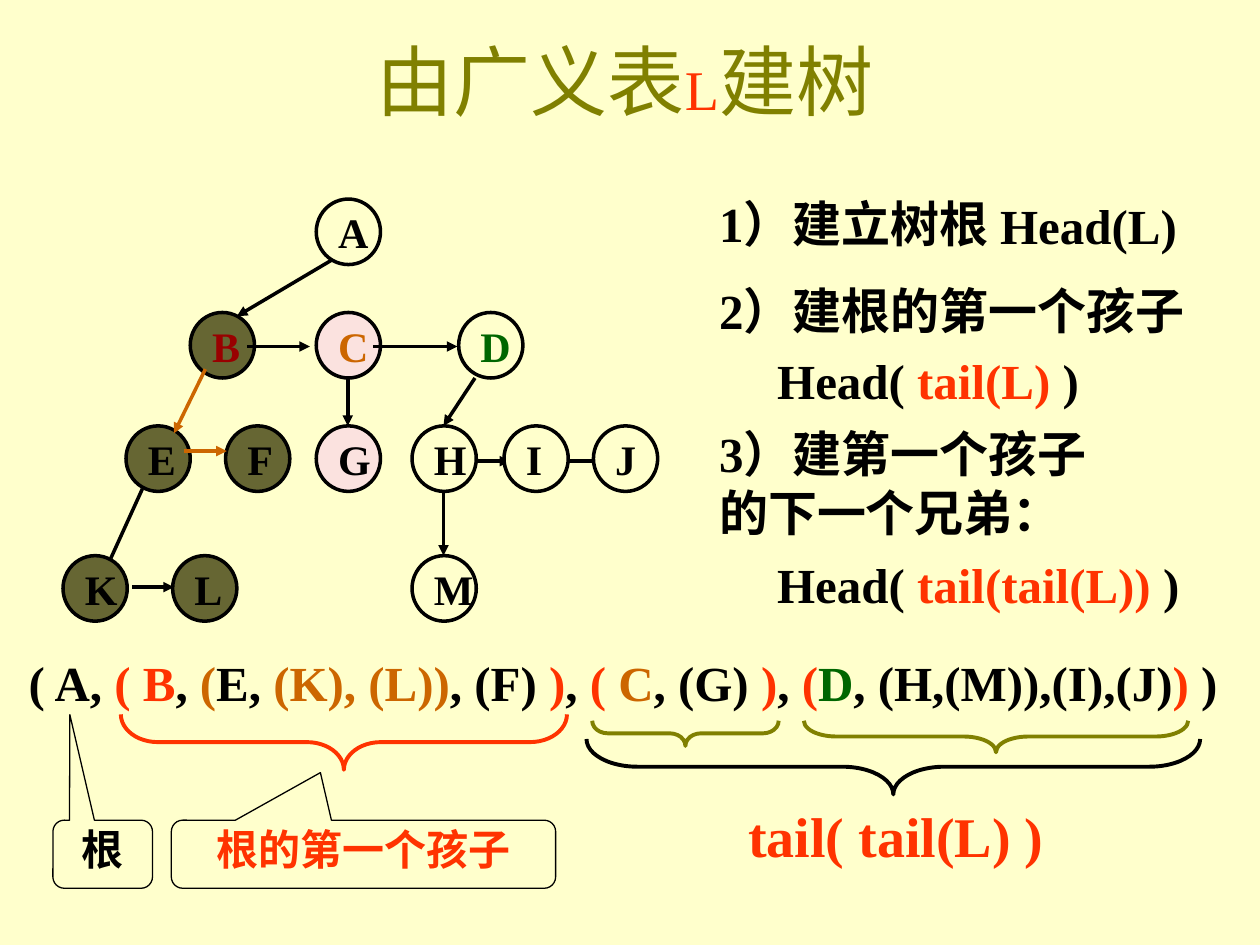
import pptx
import pptx.util
import pptx.dml.color
import pptx.enum.shapes
import pptx.enum.text
import lxml.etree
from pptx.util import Inches

COLORS = {
    "cream": "FFFFCC", "olive": "808000", "red": "FF3300", "black": "000000",
    "orange": "CC6600", "green": "006600", "maroon": "990000",
    "moss": "666633", "pink": "FBE2DF",
}
SHAPES = pptx.enum.shapes.MSO_SHAPE
ALIGN = pptx.enum.text.PP_ALIGN
ANCHOR = pptx.enum.text.MSO_ANCHOR
DRAWING = "{http://schemas.openxmlformats.org/drawingml/2006/main}"


def write(shape, text, size=28, color="black", bold=True, align=ALIGN.LEFT,
          anchor=ANCHOR.TOP, wrap=True, insets=(0.1, 0.05, 0.1, 0.05)):
    """Fill a shape with text: a string, or a list of (string, color[, size])."""
    frame = shape.text_frame
    frame.word_wrap = wrap
    frame.vertical_anchor = anchor
    (frame.margin_left, frame.margin_top,
     frame.margin_right, frame.margin_bottom) = map(Inches, insets)
    line = frame.paragraphs[0]
    line.alignment = align
    pieces = [(text, color)] if isinstance(text, str) else text
    for words, ink, *own_size in pieces:
        run = line.add_run()
        run.text = words
        run.font.name = "Times New Roman"
        run.font.size = pptx.util.Pt(own_size[0] if own_size else size)
        run.font.bold = bold
        run.font.color.rgb = pptx.dml.color.RGBColor.from_string(COLORS[ink])


def outline(kind, box, line="black", width=2, fill=None):
    shape = slide.shapes.add_shape(kind, *map(Inches, box))
    shape.shadow.inherit = False
    if fill:
        shape.fill.solid()
        shape.fill.fore_color.rgb = pptx.dml.color.RGBColor.from_string(COLORS[fill])
    else:
        shape.fill.background()
    shape.line.color.rgb = pptx.dml.color.RGBColor.from_string(COLORS[line])
    shape.line.width = pptx.util.Pt(width)
    return shape


deck = pptx.Presentation()
deck.slide_width, deck.slide_height = Inches(10), Inches(7.5)
slide = deck.slides.add_slide(deck.slide_layouts[6])
slide.background.fill.solid()
slide.background.fill.fore_color.rgb = pptx.dml.color.RGBColor.from_string(COLORS["cream"])

title = slide.shapes.add_textbox(Inches(0.71), Inches(0.01), Inches(8.5), Inches(1.25))
write(title, [("由广义表", "olive"), ("L", "red", 32), ("建树", "olive")],
      size=44, bold=False, align=ALIGN.CENTER, anchor=ANCHOR.MIDDLE)

# Steps of the construction
steps = [
    ((5.61, 1.49, 2.7, 0.57), "1）建立树根"),
    ((7.84, 1.5, 2, 0.57), "Head(L)"),
    ((5.61, 2.18, 4.03, 0.57), "2）建根的第一个孩子"),
    ((6.07, 2.73, 2.95, 0.57),
     [("Head( ", "black"), ("tail(L)", "red"), (" )", "black")]),
    ((5.61, 3.31, 3.44, 1.03), "3）建第一个孩子的下一个兄弟："),
    ((6.07, 4.35, 3.57, 0.57),
     [("Head( ", "black"), ("tail(tail(L))", "red"), (" )", "black")]),
]
for box, step in steps:
    write(slide.shapes.add_textbox(*map(Inches, box)), step)

# Generalized list, with braces and callouts naming its parts
list_text = slide.shapes.add_textbox(Inches(0.13), Inches(5.13), Inches(9.77), Inches(0.57))
write(list_text, [
    ("( A, ", "black"), ("( B", "red"), (", ", "black"), ("(", "orange"),
    ("E, ", "black"), ("(K), (L))", "orange"), (", (F) ", "black"), (")", "red"),
    (", ", "black"), ("( ", "red"), ("C", "orange"), (", (G) ", "black"),
    (")", "red"), (", ", "black"), ("(", "red"), ("D", "green"),
    (", (H,(M)),(I),(J)", "black"), (")", "red"), (" )", "black"),
], insets=(0.1, 0.05, 0, 0.05))

braces = [
    ((2.51, 4.12, 0.44, 3.54), 0.667, "red"),
    ((6.87, 3.65, 0.44, 4.87), 0.917, "black"),
    ((5.34, 5.08, 0.2, 1.48), 0.621, "olive"),
    ((7.78, 4.32, 0.25, 3.05), 1.024, "olive"),
]
for box, curl, color in braces:
    brace = outline(SHAPES.LEFT_BRACE, box, color, 2.25)
    brace.rotation = 270
    brace.adjustments[0] = curl

callouts = [
    ((0.42, 6.51, 0.79, 0.54), (-0.33, -2.051), "根", "black"),
    ((1.36, 6.51, 3.05, 0.54), (-0.112, -1.199), "根的第一个孩子", "red"),
]
for box, tip, label, color in callouts:
    callout = outline(SHAPES.ROUNDED_RECTANGULAR_CALLOUT, box, width=0.75)
    callout.adjustments[0], callout.adjustments[1] = tip
    write(callout, label, size=24, color=color, align=ALIGN.CENTER, insets=(0, 0, 0, 0))

tail_label = slide.shapes.add_textbox(Inches(5.84), Inches(6.31), Inches(2.75), Inches(0.63))
write(tail_label, "tail( tail(L) )", size=32, color="red")

# Tree: filled nodes lie under the edges, cream nodes over them
rows = [1.58, 2.48, 3.38, 4.41]
lower_nodes = [
    ("A", 2.51, 0, None, "black"), ("C", 2.51, 1, "pink", "orange"),
    ("B", 1.51, 1, "moss", "maroon"), ("G", 2.51, 2, "pink", "black"),
    ("F", 1.79, 2, "moss", "black"), ("E", 1, 2, "moss", "black"),
    ("L", 1.37, 3, "moss", "black"), ("K", 0.5, 3, "moss", "black"),
]
upper_nodes = [
    ("D", 3.64, 1, "cream", "green"), ("H", 3.27, 2, "cream", "black"),
    ("I", 4, 2, "cream", "black"), ("J", 4.71, 2, "cream", "black"),
    ("M", 3.27, 3, "cream", "black"),
]
edges = [
    ((4.46, 3.66, 4.8, 3.66), "black", True), ((1.96, 2.75, 2.46, 2.75), "black", True),
    ((2.76, 3, 2.76, 3.38), "black", True), ((3.52, 3.9, 3.52, 4.41), "black", True),
    ((2.64, 2.06, 1.88, 2.51), "black", True), ((2.96, 2.75, 3.63, 2.75), "black", True),
    ((1.63, 2.93, 1.38, 3.44), "orange", True), ((1.46, 3.58, 1.8, 3.58), "orange", True),
    ((1.13, 3.88, 0.88, 4.43), "black", False), ((1.05, 4.66, 1.38, 4.66), "black", True),
    ((3.77, 3, 3.52, 3.38), "black", True), ((3.71, 3.66, 4.05, 3.66), "black", True),
]
for layer in (lower_nodes, edges, upper_nodes):
    for item in layer:
        if layer is edges:
            ends, color, arrow = item
            edge = slide.shapes.add_connector(
                pptx.enum.shapes.MSO_CONNECTOR.STRAIGHT, *map(Inches, ends))
            edge.line.color.rgb = pptx.dml.color.RGBColor.from_string(COLORS[color])
            edge.line.width = pptx.util.Pt(2)
            if arrow:
                lxml.etree.SubElement(edge.line._get_or_add_ln(), DRAWING + "tailEnd",
                                      type="triangle")
            lxml.etree.SubElement(edge._element.spPr, DRAWING + "effectLst")
        else:
            letter, left, row, fill, color = item
            node = outline(SHAPES.OVAL, (left, rows[row], 0.51, 0.52), fill=fill)
            write(node, letter, size=24, color=color, anchor=ANCHOR.MIDDLE, wrap=False)

deck.save("out.pptx")
